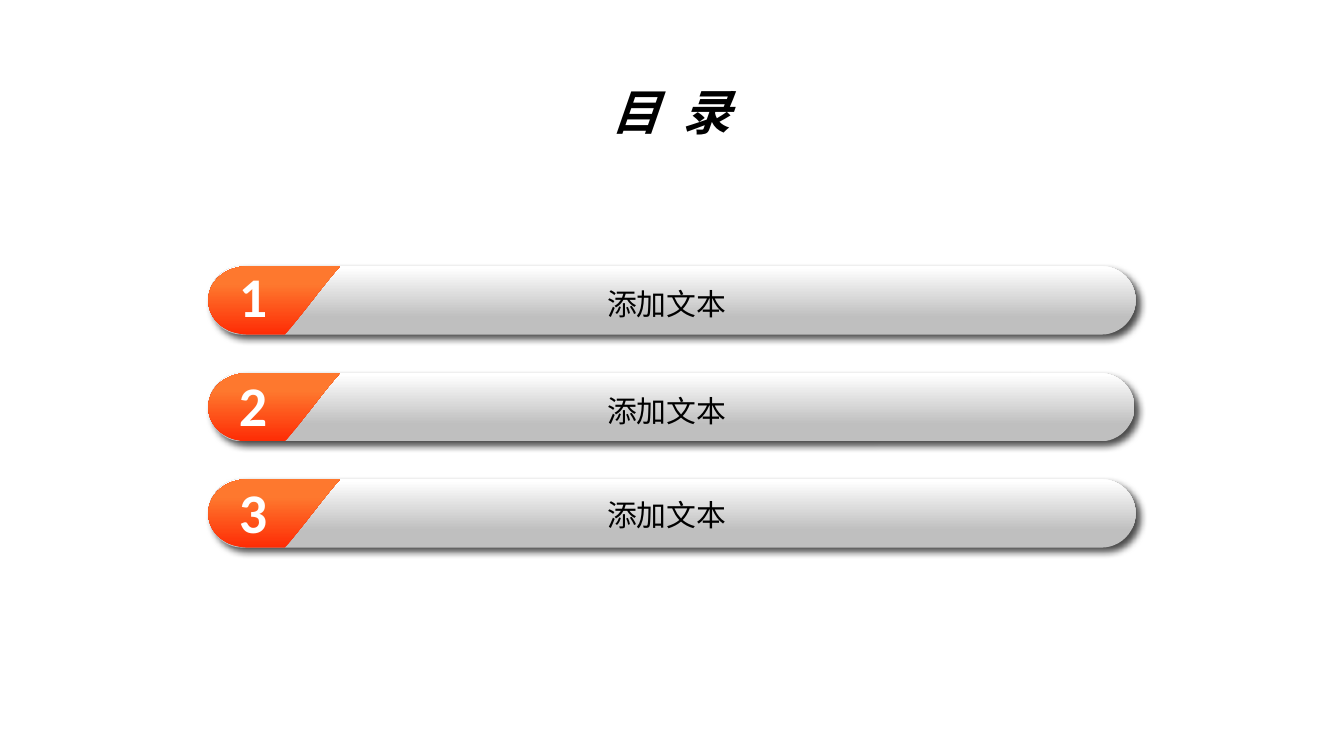
from typing import NamedTuple

from lxml.etree import SubElement as Sub
from pptx import Presentation as Deck
from pptx.dml.color import RGBColor as Rgb
from pptx.enum.shapes import MSO_SHAPE as Kind
from pptx.enum.text import MSO_AUTO_SIZE as Fit, PP_ALIGN as Align
from pptx.oxml.ns import qn
from pptx.util import Pt

PX = 4572
LEFT, HIGH = 310, 102
MID = HIGH // 2


class Row(NamedTuple):
    num: str
    top: int
    wide: int
    num_top: int
    label: str
    label_top: int


class Style(NamedTuple):
    face: str
    size: int
    color: str
    bold: bool = False
    slant: bool = False
    gap: int = 0


class Stop(NamedTuple):
    color: str
    at: float


ROWS = [
    Row("2", 555, 1378, 542, "添加文本", 574),
    Row("1", 396, 1380, 380, "添加文本", 415),
    Row("3", 713, 1380, 701, "添加文本", 730),
]
DIGIT = Style("Calibri", 30, "FFFFFF", bold=True)
LABEL = Style("Noto Sans CJK SC", 16, "000000")
TITLE = Style("Noto Sans CJK JP", 26, "000000", bold=True, slant=True, gap=3)
GRAY = [Stop("BFBFBF", 0.25), Stop("FFFFFF", 0.98)]
FIRE = [Stop("FE2C05", 0), Stop("FE782E", 0.74)]
TAB = [
    [(0, 22), (26, 0), (60, 0)],
    [(196, 0)],
    [(168, 32), (163, 42), (114, HIGH)],
    [(60, HIGH)],
    [(26, HIGH), (0, 80), (0, MID)],
]


def rgb(code: str) -> Rgb:
    return Rgb.from_string(code)


def paint(shape, stops: list[Stop]) -> None:
    shape.shadow.inherit = False
    shape.line.fill.background()
    shape.fill.gradient()
    shape.fill.gradient_angle = 90
    for slot, stop in zip(shape.fill.gradient_stops, stops):
        slot.color.rgb = rgb(stop.color)
        slot.position = stop.at


def shade(shape) -> None:
    effect = shape._element.spPr.find(qn("a:effectLst"))
    outer = Sub(effect, qn("a:outerShdw"), blurRad=str(Pt(4)), dist=str(Pt(3)),
                dir="2700000", algn="tl", rotWithShape="0")
    color = Sub(outer, qn("a:srgbClr"), val="000000")
    Sub(color, qn("a:alpha"), val="71000")


def bend(shape, parts: list[list[tuple[int, int]]]) -> None:
    lines = iter(list(shape._element.iter(qn("a:lnTo"))))
    for part in parts:
        first, *rest = [next(lines) for _ in part]
        if rest:
            first.tag = qn("a:cubicBezTo")
            for line in rest:
                first.append(line[0])
                line.getparent().remove(line)


def draw_bar(shapes, row: Row) -> None:
    bar = shapes.add_shape(Kind.ROUNDED_RECTANGLE, LEFT * PX, row.top * PX,
                           row.wide * PX, HIGH * PX)
    bar.adjustments[0] = 0.5
    paint(bar, GRAY)
    shade(bar)


def draw_tab(shapes, top: int) -> None:
    pen = shapes.build_freeform(0, MID, scale=PX)
    pen.add_line_segments([dot for part in TAB for dot in part], close=True)
    tab = pen.convert_to_shape(LEFT * PX, top * PX)
    bend(tab, TAB)
    paint(tab, FIRE)


def write(shapes, text: str, box: tuple[int, int, int, int], style: Style,
          wrap: bool = False, align: Align = Align.LEFT) -> None:
    frame = shapes.add_textbox(*(n * PX for n in box)).text_frame
    frame.word_wrap = wrap
    frame.auto_size = Fit.SHAPE_TO_FIT_TEXT
    para = frame.paragraphs[0]
    para.text = text
    para.alignment = align
    font = para.font
    font.name, font.size = style.face, Pt(style.size)
    font.bold, font.italic = style.bold, style.slant
    font.color.rgb = rgb(style.color)
    props = para._p.pPr.find(qn("a:defRPr"))
    props.set("spc", str(style.gap * 100))
    Sub(props, qn("a:ea"), typeface=style.face)


def draw_row(shapes, row: Row) -> None:
    group = shapes.add_group_shape().shapes
    draw_bar(group, row)
    draw_tab(group, row.top)
    write(group, row.num, (336, row.num_top, 94, 122), DIGIT)
    write(group, row.label, (884, row.label_top, 240, 74), LABEL)


def main() -> None:
    deck = Deck()
    deck.slide_width, deck.slide_height = 2000 * PX, 1125 * PX
    shapes = deck.slides.add_slide(deck.slide_layouts[6]).shapes
    for row in ROWS:
        draw_row(shapes, row)
    write(shapes, "目 录", (690, 112, 618, 108), TITLE, wrap=True, align=Align.CENTER)
    deck.save("out.pptx")


if __name__ == "__main__":
    main()
